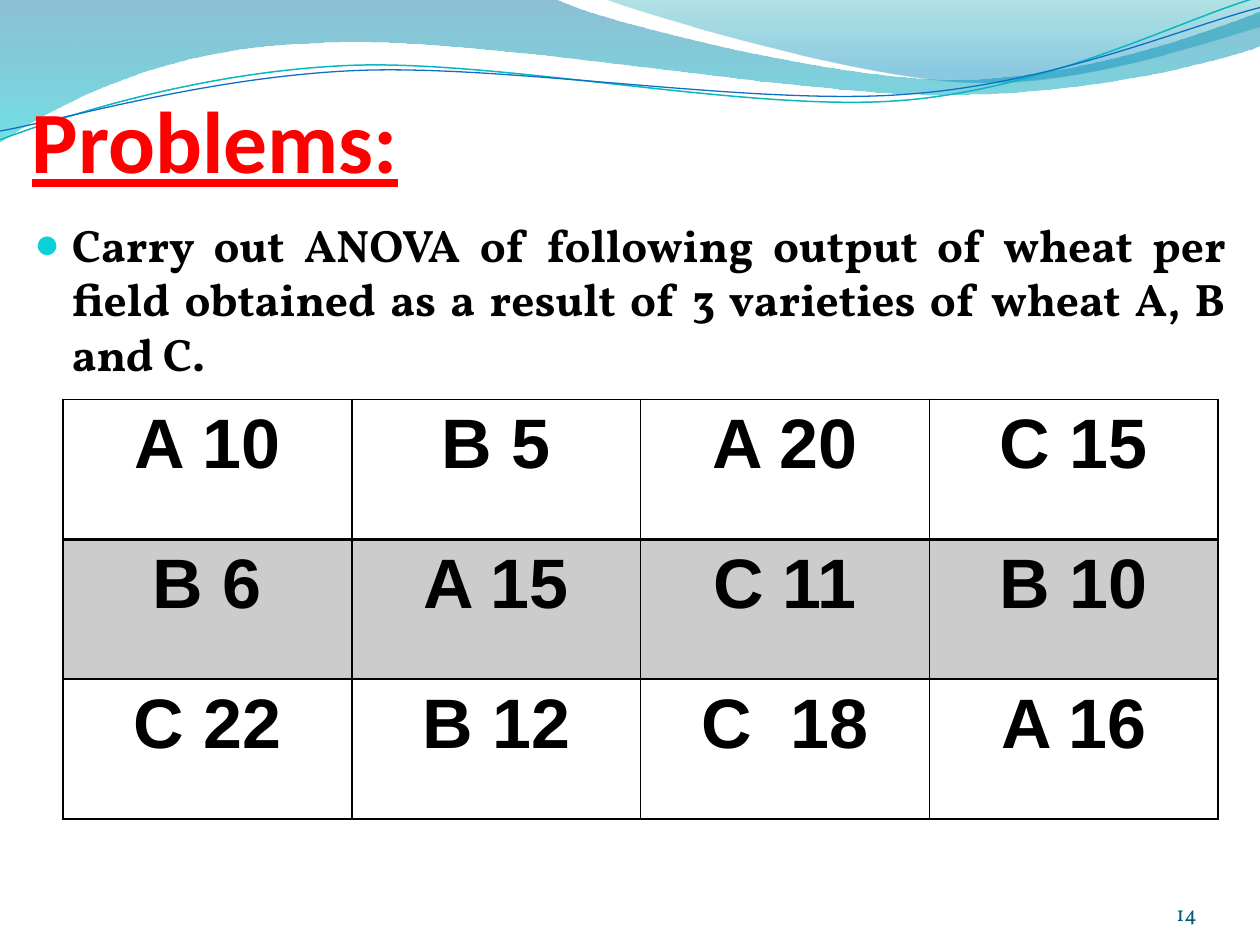
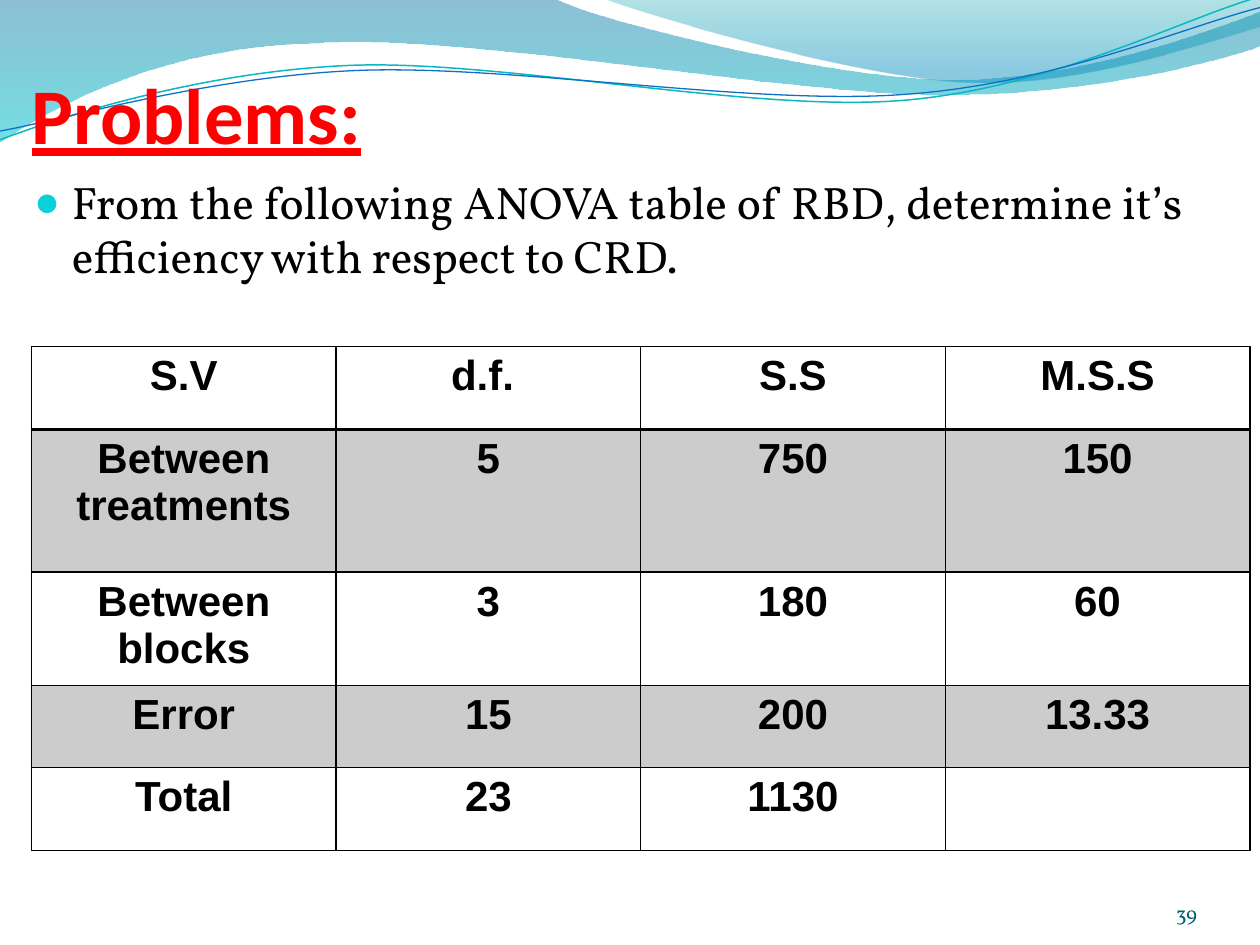
from lxml import etree
from pptx import Presentation
from pptx.dml.color import RGBColor
from pptx.enum.text import MSO_ANCHOR, MSO_AUTO_SIZE, PP_ALIGN
from pptx.oxml.ns import qn
from pptx.util import Inches, Pt

LEFT, CENTER, RIGHT, JUSTIFY = (PP_ALIGN.LEFT, PP_ALIGN.CENTER,
                                PP_ALIGN.RIGHT, PP_ALIGN.JUSTIFY)
BOTTOM = MSO_ANCHOR.BOTTOM
NO_AUTOFIT = MSO_AUTO_SIZE.NONE

COLORS = {
    "text": "000000", "title": "FF0000", "bullet": "0BD0D9", "number": "045D75",
    "wave_blue": "0074A1", "wave_cyan": "00C6CF",
    "crest_teal": "00A1A9", "crest_blue": "008BBF",
    "line_teal": "0AB8BF", "line_blue": "0F6FC6",
}
HEAD_FONT, BODY_FONT, TABLE_FONT = "Calibri", "Vollkorn", "Arial"

# Outlines in inches: two numbers are a straight line, six a Bezier curve.
WAVE = [(0, 0), (4.4, -0.01), (4.76, 0.17, 6.64, 0.63, 7.58, 0.63),
        (8.53, 0.63, 9.58, 0.26, 10, 0.09), (10.01, 0.36),
        (9.83, 0.44, 8.7, 0.76, 7.46, 0.75),
        (6.22, 0.75, 3.82, 0.28, 2.57, 0.34),
        (1.29, 0.36, 0.46, 0.83, -0.01, 1.13), (0, 0)]
CREST = [(4.79, -0.01), (5.09, 0.11, 6.82, 0.62, 7.69, 0.65),
         (8.56, 0.69, 9.61, 0.32, 10, 0.21), (10, 0), (4.79, -0.01)]
TEAL_LINE = [(0, 1.11), (0.48, 0.93, 1.58, 0.57, 2.77, 0.52),
             (3.95, 0.47, 5.93, 0.89, 7.13, 0.8),
             (8.33, 0.71, 9.38, 0.15, 9.98, -0.02)]
BLUE_LINE = [(0, 1.04), (0.47, 0.96, 1.64, 0.61, 2.83, 0.56),
             (4.03, 0.51, 5.97, 0.84, 7.17, 0.75),
             (8.36, 0.67, 9.41, 0.21, 10, 0.06)]

WHEAT_ROWS = [["A 10", "B 5", "A 20", "C 15"],
              ["B 6", "A 15", "C 11", "B 10"],
              ["C 22", "B 12", "C  18", "A 16"]]
ANOVA_ROWS = [["S.V", "d.f. ", "S.S", "M.S.S"],
              ["Between treatments", "5", "750", "150"],
              ["Between blocks", "3", "180", "60"],
              ["Error", "15", "200", "13.33"],
              ["Total", "23", "1130", ""]]


def rgb(name):
    return RGBColor.from_string(COLORS[name])


def set_alpha(element, *percents):
    """Give the RGB colours inside element their opacities, in order."""
    for color, percent in zip(element.iter(qn("a:srgbClr")), percents):
        etree.SubElement(color, qn("a:alpha"), val=str(percent * 1000))


def place(shape, box):
    shape.left, shape.top, shape.width, shape.height = map(Inches, box)


def add_run(p, text, font, size, color, bold=False, underline=False):
    r = p.add_run()
    r.text = text
    r.font.name, r.font.size = font, Pt(size)
    r.font.bold, r.font.underline = bold, underline
    r.font.color.rgb = rgb(color)


def bend_curves(sp, outline):
    """Join the three lines drawn for each curve into one Bezier segment."""
    lines = iter(list(sp.element.iter(qn("a:lnTo"))))
    for step in outline[1:]:
        segment = next(lines)
        if len(step) == 6:
            segment.tag = qn("a:cubicBezTo")
            for line in (next(lines), next(lines)):
                segment.append(line[0])
                line.getparent().remove(line)


def add_outline(slide, outline, close):
    points = [(Inches(x), Inches(y)) for step in outline
              for x, y in zip(step[::2], step[1::2])]
    builder = slide.shapes.build_freeform(*points[0])
    builder.add_line_segments(points[1:], close=close)
    sp = builder.convert_to_shape()
    bend_curves(sp, outline)
    sp.shadow.inherit = False
    return sp


def add_gradient_band(slide, outline, stops):
    sp = add_outline(slide, outline, True)
    sp.line.fill.background()
    sp.fill.gradient()
    sp.fill.gradient_angle = 270
    for stop, (position, color, _) in zip(sp.fill.gradient_stops, stops):
        stop.position = position
        stop.color.rgb = rgb(color)
    set_alpha(sp.element, *(opacity for _, _, opacity in stops))
    return sp


def add_wave_line(slide, outline, color, width):
    sp = add_outline(slide, outline, False)
    sp.fill.background()
    sp.line.color.rgb = rgb(color)
    sp.line.width = Pt(width)
    return sp


def add_header_waves(slide, layout):
    """Build the waves and hand them to the layout, which all slides share."""
    waves = [
        add_gradient_band(slide, WAVE, [(0, "wave_blue", 45), (1, "wave_cyan", 55)]),
        add_gradient_band(slide, CREST, [(0, "crest_teal", 30), (0.8, "crest_blue", 45)]),
        add_wave_line(slide, TEAL_LINE, "line_teal", 0.85),
        add_wave_line(slide, BLUE_LINE, "line_blue", 0.75),
    ]
    for shape_id, sp in enumerate(waves, start=20):
        sp.element.nvSpPr.cNvPr.id = shape_id
        layout.shapes.element.append(sp.element)


def set_title(slide, box, size):
    title = slide.shapes.title
    place(title, box)
    tf = title.text_frame
    tf.auto_size, tf.vertical_anchor = NO_AUTOFIT, BOTTOM
    tf.margin_left = tf.margin_right = tf.margin_bottom = 0
    p = tf.paragraphs[0]
    p.alignment = LEFT
    add_run(p, "Problems:", HEAD_FONT, size, "title", bold=True, underline=True)


def set_problem(slide, box, text, bold=False):
    body = slide.placeholders[1]
    place(body, box)
    tf = body.text_frame
    tf.auto_size = NO_AUTOFIT
    p = tf.paragraphs[0]
    p.alignment, p.space_before = JUSTIFY, Pt(0)
    pPr = p._p.get_or_add_pPr()
    pPr.set("marL", str(Inches(0.3)))
    pPr.set("indent", str(Inches(-0.3)))
    bullet_color = etree.SubElement(pPr, qn("a:buClr"))
    etree.SubElement(bullet_color, qn("a:srgbClr"), val=COLORS["bullet"])
    etree.SubElement(pPr, qn("a:buSzPct"), val="95000")
    etree.SubElement(pPr, qn("a:buChar"), char="●")
    add_run(p, text, BODY_FONT, 26, "text", bold)


def add_number(slide, number):
    tf = slide.shapes.add_textbox(*map(Inches, (8.67, 6.95, 0.83, 0.4))).text_frame
    tf.word_wrap, tf.vertical_anchor = True, BOTTOM
    tf.margin_left = tf.margin_right = tf.margin_top = tf.margin_bottom = 0
    p = tf.paragraphs[0]
    p.alignment = RIGHT
    add_run(p, str(number), BODY_FONT, 12, "number")


def set_borders(cell, row):
    """Thin lines all round, with a thick one under the first row."""
    widths = {"L": 1, "R": 1, "T": 1, "B": 1}
    if row == 0:
        widths["B"] = 2
    elif row == 1:
        del widths["T"]
    tcPr = cell._tc.get_or_add_tcPr()
    for side, width in widths.items():
        ln = etree.SubElement(tcPr, qn("a:ln" + side), w=str(Pt(width)))
        fill = etree.SubElement(ln, qn("a:solidFill"))
        etree.SubElement(fill, qn("a:srgbClr"), val=COLORS["text"])


def shade(cell):
    cell.fill.solid()
    cell.fill.fore_color.rgb = rgb("text")
    set_alpha(cell._tc.tcPr.find(qn("a:solidFill")), 20)


def add_data_table(slide, rows, left, top, width, heights, size):
    frame = slide.shapes.add_table(len(rows), len(rows[0]), Inches(left), Inches(top),
                                   Inches(width), Inches(sum(heights)))
    table = frame.table
    table.first_row = table.horz_banding = False
    for i, (values, height) in enumerate(zip(rows, heights)):
        table.rows[i].height = Inches(height)
        for cell, value in zip(table.rows[i].cells, values):
            set_borders(cell, i)
            if i % 2:
                shade(cell)
            else:
                cell.fill.background()
            p = cell.text_frame.paragraphs[0]
            p.alignment = CENTER
            if value:
                add_run(p, value, TABLE_FONT, size, "text", bold=True)


def main():
    prs = Presentation()
    prs.slide_width, prs.slide_height = Inches(10), Inches(7.5)
    layout = prs.slide_layouts[1]

    wheat = prs.slides.add_slide(layout)
    add_header_waves(wheat, layout)
    set_title(wheat, (0.25, 0.5, 9, 1.02), 50)
    set_problem(wheat, (0.17, 1.67, 9.67, 5.5),
                "Carry out ANOVA of following output of wheat per field obtained "
                "as a result of 3 varieties of wheat A, B and C.", bold=True)
    add_data_table(wheat, WHEAT_ROWS, 0.5, 3.17, 9.17, [1.11] * 3, 40)
    add_number(wheat, 14)

    efficiency = prs.slides.add_slide(layout)
    set_title(efficiency, (0.25, 0.42, 9, 0.85), 45)
    set_problem(efficiency, (0.17, 1.33, 9.33, 5.58),
                "From the following ANOVA table of RBD, determine it’s efficiency "
                "with respect to CRD.")
    add_number(efficiency, 39)
    add_data_table(efficiency, ANOVA_ROWS, 0.25, 2.75, 9.67,
                   [0.66, 1.13, 0.9, 0.65, 0.66], 24)

    prs.save("out.pptx")


if __name__ == "__main__":
    main()
